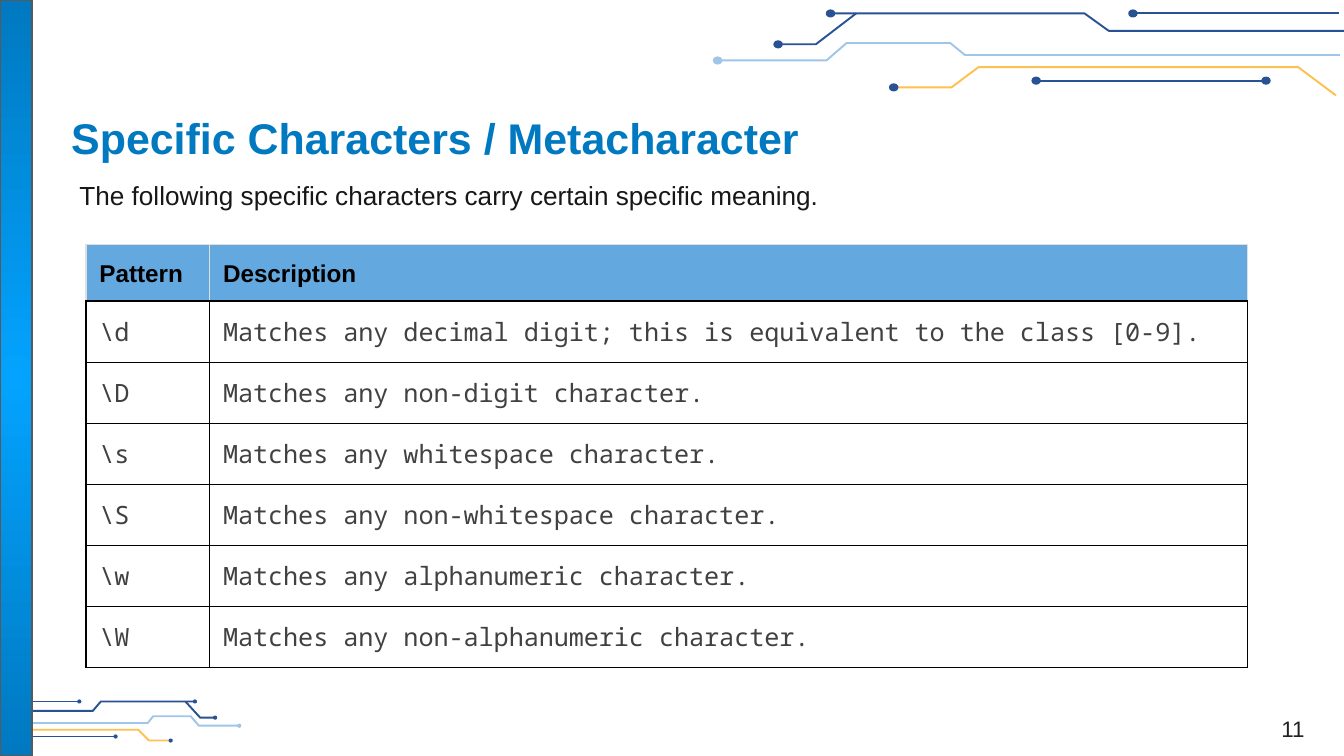
from lxml.etree import SubElement
from pptx import Presentation
from pptx.dml.color import RGBColor
from pptx.enum.shapes import MSO_CONNECTOR, MSO_SHAPE
from pptx.enum.text import MSO_ANCHOR, PP_ALIGN
from pptx.oxml import parse_xml
from pptx.oxml.ns import nsdecls, qn
from pptx.util import Inches, Pt

COLORS = {
    "navy": "285293", "sky": "9FC5E8", "gold": "FEC14F",
    "bright": "03A3FF", "blue": "0079C0", "bar_edge": "595959",
    "text": "181717", "number": "222222", "code": "414141",
    "header": "63A9E0", "header_edge": "DFDFDF",
    "black": "000000", "white": "FFFFFF",
}

SLIDE_WIDTH = Inches(10)
SLIDE_HEIGHT = SLIDE_WIDTH * 9 // 16

TITLE = "Specific Characters / Metacharacter"
INTRO = "The following specific characters carry certain specific meaning."
PAGE_NUMBER = "11"
ROWS = [
    ("Pattern", "Description"),
    (r"\d", "Matches any decimal digit; this is equivalent to the class [0-9]."),
    (r"\D", "Matches any non-digit character."),
    (r"\s", "Matches any whitespace character."),
    (r"\S", "Matches any non-whitespace character."),
    (r"\w", "Matches any alphanumeric character."),
    (r"\W", "Matches any non-alphanumeric character."),
]
COLUMN_WIDTHS = (0.92, 7.72)
HEADER_HEIGHT, PATTERNS_HEIGHT = 0.42, 2.73

BOTTOM_TRACES = [
    ("navy", [(0.04, 5.29), (0.69, 5.29), (0.75, 5.22), (1.46, 5.22)]),
    ("navy", [(1.38, 5.22), (1.49, 5.34), (1.6, 5.34)]),
    ("navy", [(0, 5.22), (0.59, 5.22)]),
    ("gold", [(0.01, 5.43), (1.03, 5.43), (1.11, 5.51), (1.27, 5.51)]),
    ("navy", [(0.21, 5.48), (0.86, 5.48)]),
    ("sky", [(0.08, 5.38), (1.1, 5.38), (1.14, 5.33), (1.42, 5.33),
             (1.48, 5.4), (1.78, 5.4)]),
]
BOTTOM_DOTS = [("sky", 1.78, 5.4), ("navy", 1.45, 5.22), ("navy", 1.6, 5.34),
               ("navy", 0.59, 5.22), ("navy", 1.27, 5.51), ("navy", 0.86, 5.48)]
TOP_TRACES = [
    ("navy", [(10, 0.23), (8.25, 0.23), (8.07, 0.1), (6.17, 0.1)]),
    ("navy", [(6.37, 0.1), (6.07, 0.33), (5.79, 0.33)]),
    ("navy", [(9.96, 0.1), (8.43, 0.1)]),
    ("gold", [(9.94, 0.71), (9.66, 0.5), (7.28, 0.5), (7.08, 0.65), (6.65, 0.65)]),
    ("navy", [(9.42, 0.6), (7.71, 0.6)]),
    ("sky", [(9.97, 0.41), (7.18, 0.41), (7.07, 0.32), (6.3, 0.32),
             (6.15, 0.45), (5.34, 0.45)]),
]
TOP_DOTS = [("sky", 5.34, 0.45), ("navy", 6.18, 0.1), ("navy", 5.79, 0.33),
            ("navy", 8.43, 0.1), ("navy", 6.65, 0.65), ("navy", 9.42, 0.6),
            ("navy", 7.71, 0.6)]


def rgb(name):
    return RGBColor.from_string(COLORS[name])


def add_trace(slide, color, points):
    corners = [(Inches(x), Inches(y)) for x, y in points]
    if len(corners) == 2:
        trace = slide.shapes.add_connector(
            MSO_CONNECTOR.STRAIGHT, *corners[0], *corners[1])
        SubElement(trace._element.spPr, qn("a:effectLst"))
    else:
        builder = slide.shapes.build_freeform(*corners[0])
        builder.add_line_segments(corners[1:], close=False)
        trace = builder.convert_to_shape()
        trace.fill.background()
        trace.shadow.inherit = False
    trace.line.color.rgb = rgb(color)
    trace.line.width = Pt(1.03)


def add_dot(slide, color, x, y, width, height):
    dot = slide.shapes.add_shape(
        MSO_SHAPE.OVAL, Inches(x - width / 2), Inches(y - height / 2),
        Inches(width), Inches(height))
    dot.shadow.inherit = False
    dot.fill.solid()
    dot.fill.fore_color.rgb = rgb(color)
    dot.line.color.rgb = rgb(color)
    dot.line.width = Pt(0.75)


def add_side_bar(slide):
    bar = slide.shapes.add_shape(
        MSO_SHAPE.RECTANGLE, 0, 0, Inches(0.24), SLIDE_HEIGHT)
    bar.shadow.inherit = False
    bar.line.color.rgb = rgb("bar_edge")
    bar.line.width = Pt(0.75)
    bar.fill.gradient()
    for stop, color in zip(bar.fill.gradient_stops, ("bright", "blue")):
        stop.color.rgb = rgb(color)
    gradient = bar._element.spPr.find(qn("a:gradFill"))
    gradient.replace(gradient.find(qn("a:lin")), parse_xml(
        f'<a:path {nsdecls("a")} path="circle">'
        '<a:fillToRect l="50000" t="50000" r="50000" b="50000"/></a:path>'))


def style(frame, size, color, font="Arial", bold=False, align=PP_ALIGN.LEFT):
    paragraph = frame.paragraphs[0]
    paragraph.alignment = align
    for run in paragraph.runs:
        run.font.name = font
        run.font.size = Pt(size)
        run.font.bold = bold
        run.font.color.rgb = rgb(color)
    return paragraph


def add_text(slide, text, box, anchor, inset_y=0.07):
    frame = slide.shapes.add_textbox(*map(Inches, box)).text_frame
    frame.word_wrap = True
    frame.vertical_anchor = anchor
    frame.margin_left = frame.margin_right = Inches(0.07)
    frame.margin_top = frame.margin_bottom = Inches(inset_y)
    frame.text = text
    return frame


def set_borders(cell, edges):
    properties = cell._tc.get_or_add_tcPr()
    for index, (side, (color, width)) in enumerate(edges.items()):
        properties.insert(index, parse_xml(
            f'<a:ln{side} {nsdecls("a")} w="{Pt(width)}"><a:solidFill>'
            f'<a:srgbClr val="{COLORS[color]}"/></a:solidFill></a:ln{side}>'))


def add_pattern_table(slide):
    pattern_count = len(ROWS) - 1
    heights = [HEADER_HEIGHT] + [PATTERNS_HEIGHT / pattern_count] * pattern_count
    table = slide.shapes.add_table(
        len(ROWS), len(COLUMN_WIDTHS), Inches(0.64), Inches(1.82),
        Inches(sum(COLUMN_WIDTHS)), Inches(sum(heights))).table
    for column, width in zip(table.columns, COLUMN_WIDTHS):
        column.width = Inches(width)
    for r, (row, height) in enumerate(zip(ROWS, heights)):
        table.rows[r].height = Inches(height)
        for c, text in enumerate(row):
            cell = table.cell(r, c)
            cell.text_frame.text = text
            cell.margin_left = cell.margin_right = Inches(0.1)
            cell.margin_top = cell.margin_bottom = Inches(0.1)
            cell.fill.solid()
            cell.fill.fore_color.rgb = rgb("white" if r else "header")
            edge = ("black" if r else "header_edge", 0.68)
            edges = dict.fromkeys("LRTB", edge)
            if r == 0:
                cell.vertical_anchor = MSO_ANCHOR.BOTTOM
                edges["B"] = ("black", 1.36)
                style(cell.text_frame, 13, "black", bold=True)
            else:
                if r == 1:
                    edges["T"] = ("black", 1.36)
                style(cell.text_frame, 13.5, "code", "Noto Sans Mono",
                      align=PP_ALIGN.JUSTIFY)
            set_borders(cell, edges)


def main():
    deck = Presentation()
    deck.slide_width, deck.slide_height = SLIDE_WIDTH, SLIDE_HEIGHT
    slide = deck.slides.add_slide(deck.slide_layouts[6])

    for traces, dots, dot_size in (
            (BOTTOM_TRACES, BOTTOM_DOTS, (0.02, 0.02)),
            (TOP_TRACES, TOP_DOTS, (0.06, 0.05))):
        for color, points in traces:
            add_trace(slide, color, points)
        for color, x, y in dots:
            add_dot(slide, color, x, y, *dot_size)
    add_side_bar(slide)

    title = add_text(slide, TITLE, (0.46, 0.73, 8.88, 0.58), MSO_ANCHOR.MIDDLE)
    style(title, 23, "blue", bold=True)
    intro = add_text(slide, INTRO, (0.52, 1.31, 8.95, 0.33), MSO_ANCHOR.TOP)
    sentence = style(intro, 14, "text")
    sentence.line_spacing = 0.8
    sentence.space_before = Pt(7)
    number = add_text(slide, PAGE_NUMBER, (9.3, 5.12, 0.64, 0.44),
                      MSO_ANCHOR.BOTTOM, 0.04)
    style(number, 12, "number", align=PP_ALIGN.CENTER)
    add_pattern_table(slide)
    deck.save("out.pptx")


if __name__ == "__main__":
    main()
